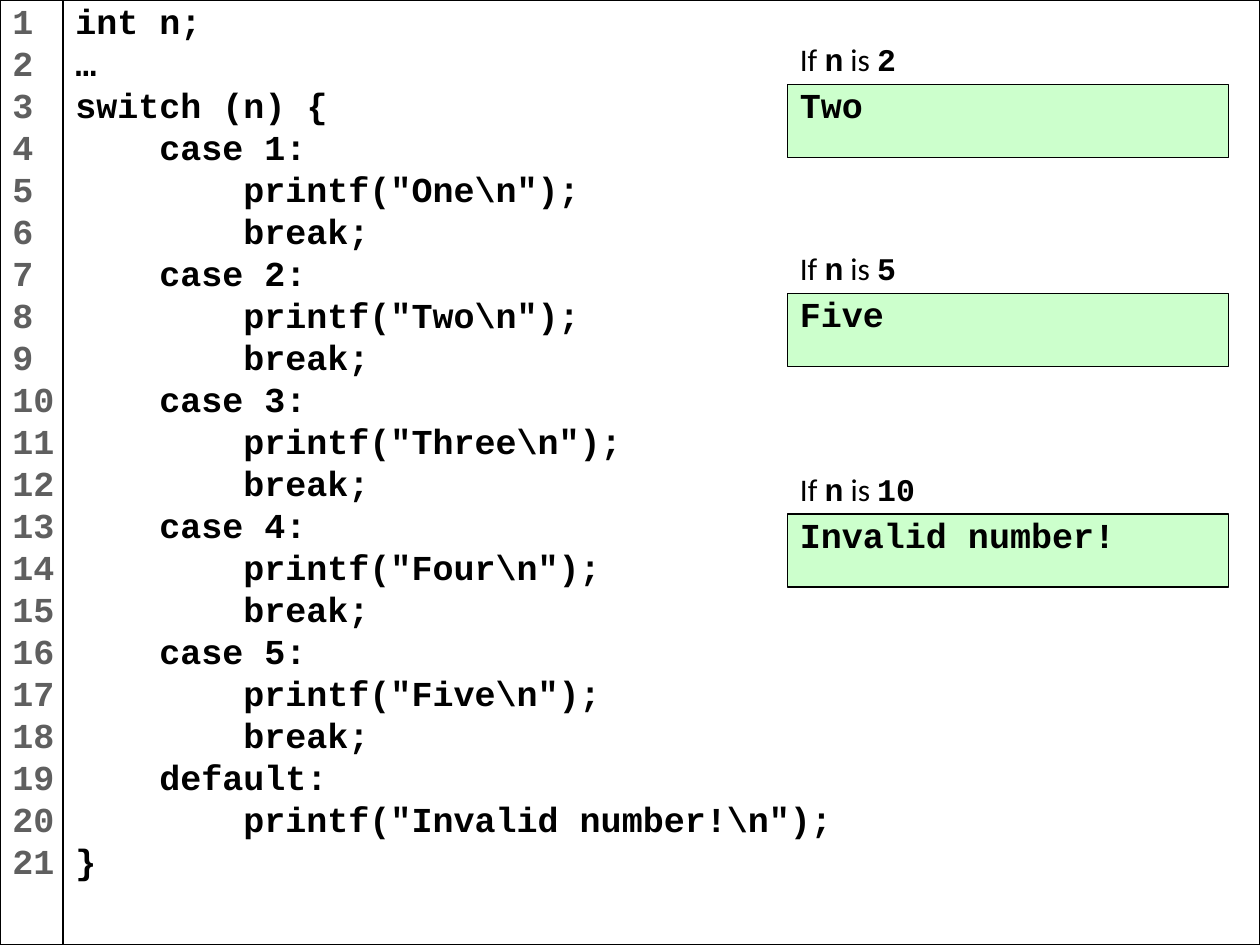
import pptx
import pptx.dml.color
import pptx.enum.shapes
import pptx.enum.text
import pptx.util

Inches, Pt = pptx.util.Inches, pptx.util.Pt
RGBColor = pptx.dml.color.RGBColor

BLACK = RGBColor(0x00, 0x00, 0x00)
WHITE = RGBColor(0xFF, 0xFF, 0xFF)
GRAY = RGBColor(0x5F, 0x5F, 0x5F)
GREEN = RGBColor(0xCC, 0xFF, 0xCC)
CODE_FONT, TEXT_FONT = "Courier New", "Calibri"

# (indent level, statement)
CODE = [(0, "int n;"), (0, "…"), (0, "switch (n) {")]
for number, word in enumerate(["One", "Two", "Three", "Four", "Five"], 1):
    CODE += [(1, f"case {number}:"), (2, f'printf("{word}\\n");'), (2, "break;")]
CODE += [(1, "default:"), (2, 'printf("Invalid number!\\n");'), (0, "}")]

# (value of n, output, top of output box, width of caption)
EXAMPLES = [
    ("2", "Two", 0.67, 1.03),
    ("5", "Five", 2.33, 1.03),
    ("10", "Invalid number!", 4.08, 1.18),
]

SLIDE_W, SLIDE_H = 10, 7.5
GUTTER_W = 0.5
OUTPUT_LEFT, OUTPUT_W, OUTPUT_H = 6.25, 3.5, 0.58
CAPTION_H = 0.4
INDENT = Pt(48)  # four characters of 20 pt Courier New


def add_run(paragraph, text, font, size, color=BLACK, bold=False):
    run = paragraph.add_run()
    run.text = text
    run.font.name, run.font.size, run.font.bold = font, Pt(size), bold
    run.font.color.rgb = color


def add_code_box(slide, left, top, width, height, lines, fill, color=BLACK):
    """Outlined box with one code paragraph for each (indent level, text)."""
    box = slide.shapes.add_shape(
        pptx.enum.shapes.MSO_SHAPE.RECTANGLE,
        Inches(left), Inches(top), Inches(width), Inches(height))
    box.shadow.inherit = False
    box.fill.solid()
    box.fill.fore_color.rgb = fill
    box.line.color.rgb = BLACK
    box.line.width = Pt(0.75)
    frame = box.text_frame
    frame.word_wrap = True
    frame.vertical_anchor = pptx.enum.text.MSO_ANCHOR.TOP
    for index, (level, text) in enumerate(lines):
        paragraph = frame.add_paragraph() if index else frame.paragraphs[0]
        paragraph.alignment = pptx.enum.text.PP_ALIGN.LEFT
        paragraph.line_spacing = Pt(20)
        paragraph.space_before = Pt(4)
        properties = paragraph._p.get_or_add_pPr()
        properties.set("marL", str(level * INDENT))
        properties.set("indent", "0")
        add_run(paragraph, text, CODE_FONT, 20, color, bold=True)
    return frame


def add_caption(slide, value, top, width):
    caption = slide.shapes.add_textbox(
        Inches(OUTPUT_LEFT), Inches(top), Inches(width), Inches(CAPTION_H))
    frame = caption.text_frame
    frame.word_wrap = False
    frame.auto_size = pptx.enum.text.MSO_AUTO_SIZE.SHAPE_TO_FIT_TEXT
    for text, is_code in [("If ", False), ("n", True), (" is ", False), (value, True)]:
        add_run(frame.paragraphs[0], text, CODE_FONT if is_code else TEXT_FONT,
                18, bold=is_code)


def main():
    deck = pptx.Presentation()
    deck.slide_width, deck.slide_height = Inches(SLIDE_W), Inches(SLIDE_H)
    slide = deck.slides.add_slide(deck.slide_layouts[6])

    add_code_box(slide, GUTTER_W, 0, SLIDE_W - GUTTER_W, SLIDE_H, CODE, WHITE)
    line_numbers = [(0, str(n)) for n in range(1, len(CODE) + 1)]
    gutter = add_code_box(slide, 0, 0, GUTTER_W, SLIDE_H, line_numbers, WHITE, GRAY)
    gutter.margin_right = 0

    for value, output, top, caption_w in EXAMPLES:
        add_code_box(slide, OUTPUT_LEFT, top, OUTPUT_W, OUTPUT_H, [(0, output)], GREEN)
        add_caption(slide, value, top - CAPTION_H, caption_w)

    deck.save("out.pptx")


if __name__ == "__main__":
    main()
